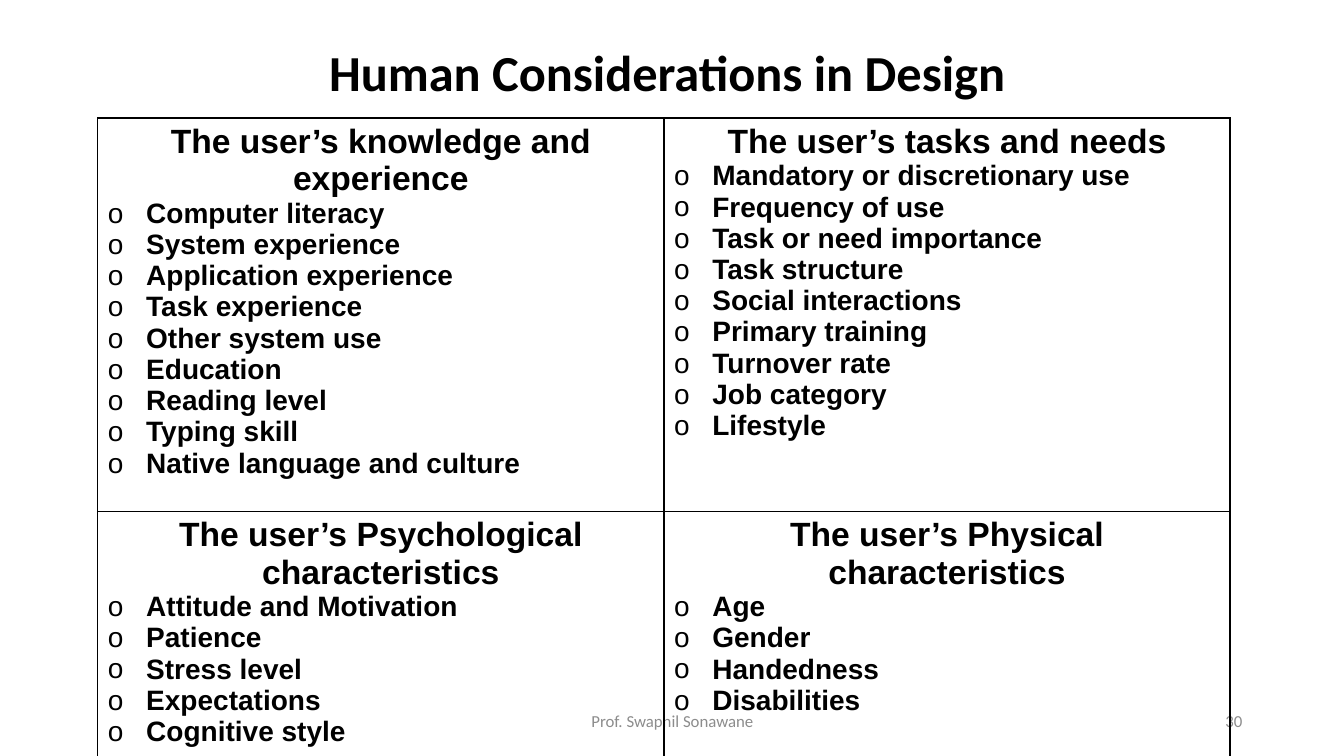
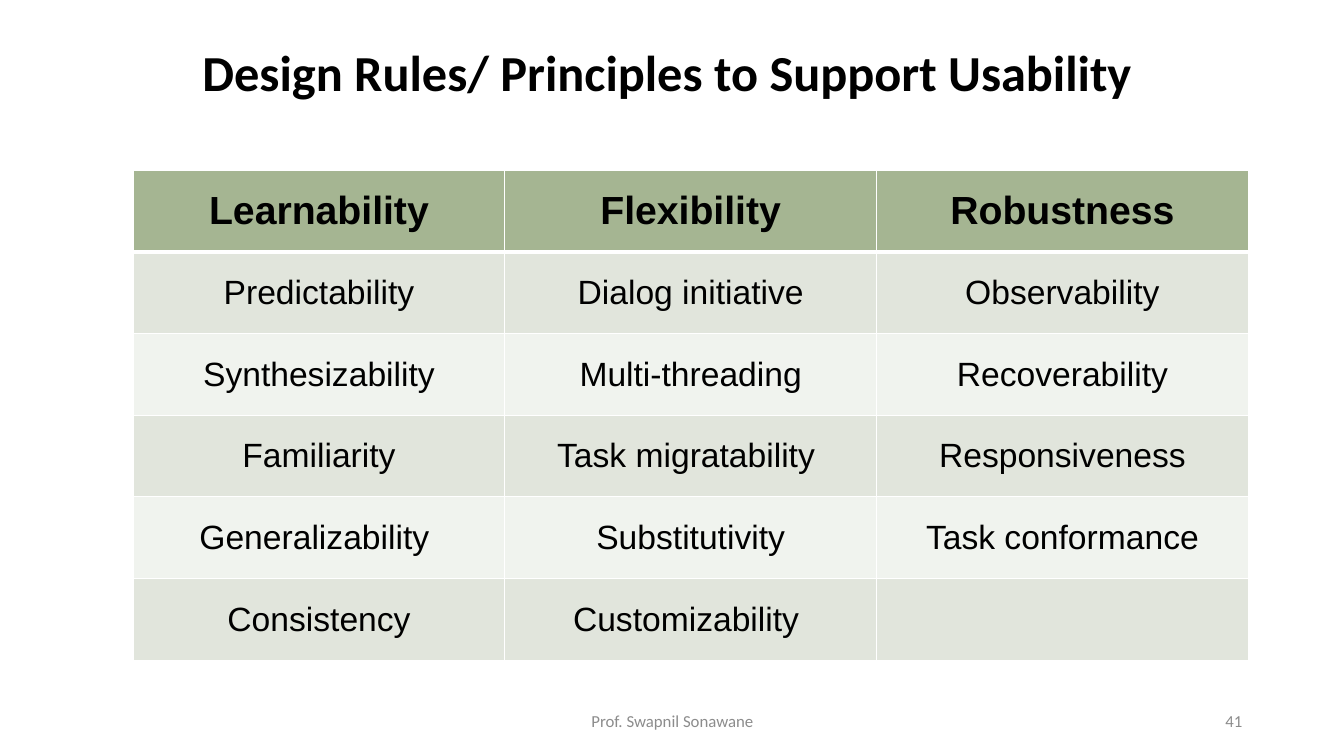
from dataclasses import dataclass

import lxml.etree
import pptx
import pptx.dml.color
import pptx.enum.text
import pptx.oxml.ns
import pptx.presentation
import pptx.slide
import pptx.table
import pptx.text.text
import pptx.util

Inches = pptx.util.Inches
Pt = pptx.util.Pt
RGBColor = pptx.dml.color.RGBColor
Align = pptx.enum.text.PP_ALIGN
Anchor = pptx.enum.text.MSO_ANCHOR

BLACK = RGBColor(0x00, 0x00, 0x00)
WHITE = RGBColor(0xFF, 0xFF, 0xFF)
FOOTER_GREY = RGBColor(0x8C, 0x8C, 0x8C)
HEADER_GREEN = RGBColor(0xA5, 0xB5, 0x92)
BAND_DARK = RGBColor(0xE1, 0xE5, 0xDC)
BAND_LIGHT = RGBColor(0xF0, 0xF3, 0xEE)

HEADING_FONT = "Calibri"
TABLE_FONT = "Arial"
LECTURER = "Prof. Swapnil Sonawane"
TITLE_ONLY_LAYOUT = 5
BULLET_INDENT = Inches(0.38)


@dataclass(frozen=True)
class Consideration:
    heading: str
    factors: tuple[str, ...]


@dataclass(frozen=True)
class Principle:
    name: str
    rules: tuple[str, ...]


CONSIDERATIONS = (
    (
        Consideration("The user’s knowledge and experience", (
            "Computer literacy", "System experience", "Application experience",
            "Task experience", "Other system use", "Education",
            "Reading level", "Typing skill", "Native language and culture")),
        Consideration("The user’s tasks and needs", (
            "Mandatory or discretionary use", "Frequency of use",
            "Task or need importance", "Task structure", "Social interactions",
            "Primary training", "Turnover rate", "Job category", "Lifestyle")),
    ),
    (
        Consideration("The user’s Psychological characteristics", (
            "Attitude and Motivation", "Patience", "Stress level",
            "Expectations", "Cognitive style")),
        Consideration("The user’s Physical characteristics", (
            "Age", "Gender", "Handedness", "Disabilities")),
    ),
)

PRINCIPLES = (
    Principle("Learnability", (
        "Predictability", "Synthesizability", "Familiarity",
        "Generalizability ", "Consistency")),
    Principle("Flexibility", (
        "Dialog initiative", "Multi-threading", "Task migratability ",
        "Substitutivity", "Customizability ")),
    Principle("Robustness", (
        "Observability", "Recoverability", "Responsiveness",
        "Task conformance")),
)


def style_paragraph(paragraph: pptx.text.text._Paragraph, font_name: str,
                    size: float, color: RGBColor, align: Align,
                    bold: bool = False) -> None:
    paragraph.alignment = align
    font = paragraph.font
    font.name = font_name
    font.size = Pt(size)
    font.bold = bold
    font.color.rgb = color


def add_bullet(paragraph: pptx.text.text._Paragraph) -> None:
    """Give the paragraph a hanging "o" bullet; call before setting its font."""
    properties = paragraph._p.get_or_add_pPr()
    properties.set("marL", str(BULLET_INDENT))
    properties.set("indent", str(-BULLET_INDENT))
    qn = pptx.oxml.ns.qn
    lxml.etree.SubElement(properties, qn("a:buFont"), typeface=TABLE_FONT)
    lxml.etree.SubElement(properties, qn("a:buChar"), char="o")


def set_borders(cell: pptx.table._Cell, color: RGBColor,
                top: float = 1, bottom: float = 1) -> None:
    """Draw all four cell borders; call before setting the cell's fill."""
    qn = pptx.oxml.ns.qn
    properties = cell._tc.get_or_add_tcPr()
    for side, width in (("L", 1), ("R", 1), ("T", top), ("B", bottom)):
        line = lxml.etree.SubElement(
            properties, qn(f"a:ln{side}"), w=str(Pt(width)))
        fill = lxml.etree.SubElement(line, qn("a:solidFill"))
        lxml.etree.SubElement(fill, qn("a:srgbClr"), val=str(color))


def add_footer_text(slide: pptx.slide.Slide, left: float, width: float,
                    text: str, align: Align) -> None:
    box = slide.shapes.add_textbox(
        Inches(left), Inches(6.95), Inches(width), Inches(0.4))
    frame = box.text_frame
    frame.word_wrap = True
    frame.vertical_anchor = Anchor.MIDDLE
    frame.text = text
    style_paragraph(frame.paragraphs[0], HEADING_FONT, 12, FOOTER_GREY, align)


def add_titled_slide(deck: pptx.presentation.Presentation, heading: str,
                     number: int) -> pptx.slide.Slide:
    """Add a slide with the shared title, lecturer footer and page number."""
    slide = deck.slides.add_slide(deck.slide_layouts[TITLE_ONLY_LAYOUT])
    title = slide.shapes.title
    title.left, title.top = Inches(1.62), Inches(0.27)
    title.width, title.height = Inches(10), Inches(0.8)
    frame = title.text_frame
    frame.auto_size = pptx.enum.text.MSO_AUTO_SIZE.NONE
    frame.vertical_anchor = Anchor.BOTTOM
    frame.text = heading
    paragraph = frame.paragraphs[0]
    paragraph.line_spacing = 0.9
    style_paragraph(paragraph, HEADING_FONT, 36, BLACK, Align.CENTER, bold=True)
    add_footer_text(slide, 4.42, 4.5, LECTURER, Align.CENTER)
    add_footer_text(slide, 9.42, 3, str(number), Align.RIGHT)
    return slide


def add_plain_table(slide: pptx.slide.Slide, left: float, top: float,
                    width: float, row_heights: list[float],
                    columns: int) -> pptx.table.Table:
    table = slide.shapes.add_table(
        len(row_heights), columns, Inches(left), Inches(top),
        Inches(width), Inches(sum(row_heights))).table
    table.first_row = False
    table.horz_banding = False
    for row, height in zip(table.rows, row_heights):
        row.height = Inches(height)
    return table


def fill_consideration(cell: pptx.table._Cell,
                       consideration: Consideration) -> None:
    set_borders(cell, BLACK)
    cell.fill.background()
    frame = cell.text_frame
    frame.text = consideration.heading
    style_paragraph(frame.paragraphs[0], TABLE_FONT, 24, BLACK,
                    Align.CENTER, bold=True)
    for factor in consideration.factors:
        paragraph = frame.add_paragraph()
        paragraph.text = factor
        add_bullet(paragraph)
        style_paragraph(paragraph, TABLE_FONT, 20, BLACK, Align.LEFT, bold=True)


def add_considerations_slide(deck: pptx.presentation.Presentation) -> None:
    slide = add_titled_slide(deck, "Human Considerations in Design", 30)
    table = add_plain_table(slide, 0.97, 1.17, 11.23, [3.63, 2.69], 2)
    for row, considerations in enumerate(CONSIDERATIONS):
        for column, consideration in enumerate(considerations):
            fill_consideration(table.cell(row, column), consideration)


def add_principles_slide(deck: pptx.presentation.Presentation) -> None:
    slide = add_titled_slide(
        deck, "Design Rules/ Principles to Support Usability", 41)
    row_count = 1 + max(len(principle.rules) for principle in PRINCIPLES)
    table = add_plain_table(
        slide, 1.32, 1.69, 11.06, [0.81] * row_count, len(PRINCIPLES))
    for column, principle in enumerate(PRINCIPLES):
        entries = (principle.name, *principle.rules)
        for row in range(row_count):
            cell = table.cell(row, column)
            is_header = row == 0
            set_borders(cell, WHITE, top=3 if row == 1 else 1,
                        bottom=3 if is_header else 1)
            cell.fill.solid()
            band = BAND_DARK if row % 2 else BAND_LIGHT
            cell.fill.fore_color.rgb = HEADER_GREEN if is_header else band
            cell.vertical_anchor = Anchor.MIDDLE
            if row < len(entries):
                cell.text = entries[row]
                style_paragraph(cell.text_frame.paragraphs[0], TABLE_FONT,
                                28 if is_header else 24, BLACK,
                                Align.CENTER, bold=is_header)


def main() -> None:
    deck = pptx.Presentation()
    deck.slide_width = Inches(13.33)
    deck.slide_height = Inches(7.5)
    add_considerations_slide(deck)
    add_principles_slide(deck)
    deck.save("out.pptx")


if __name__ == "__main__":
    main()
